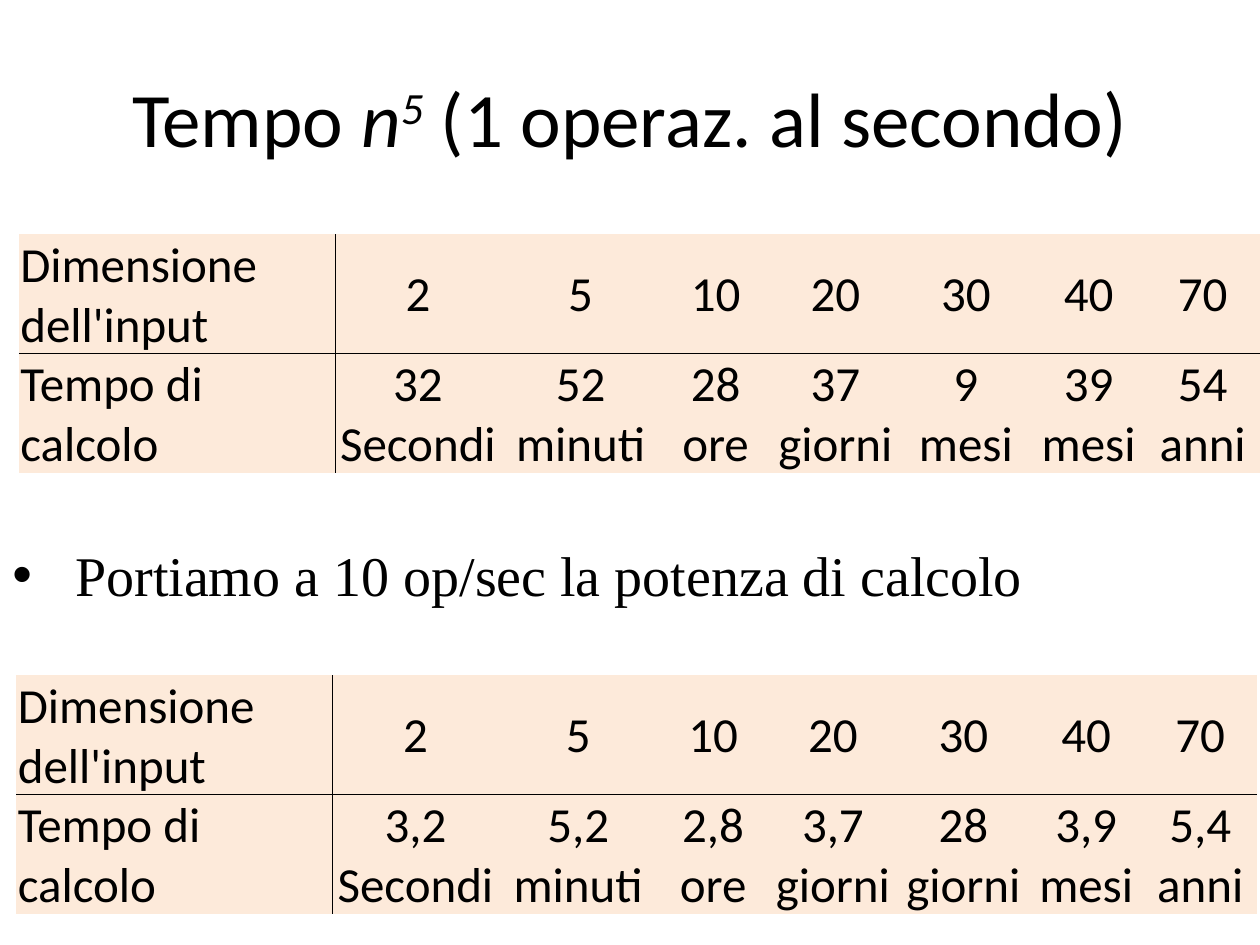
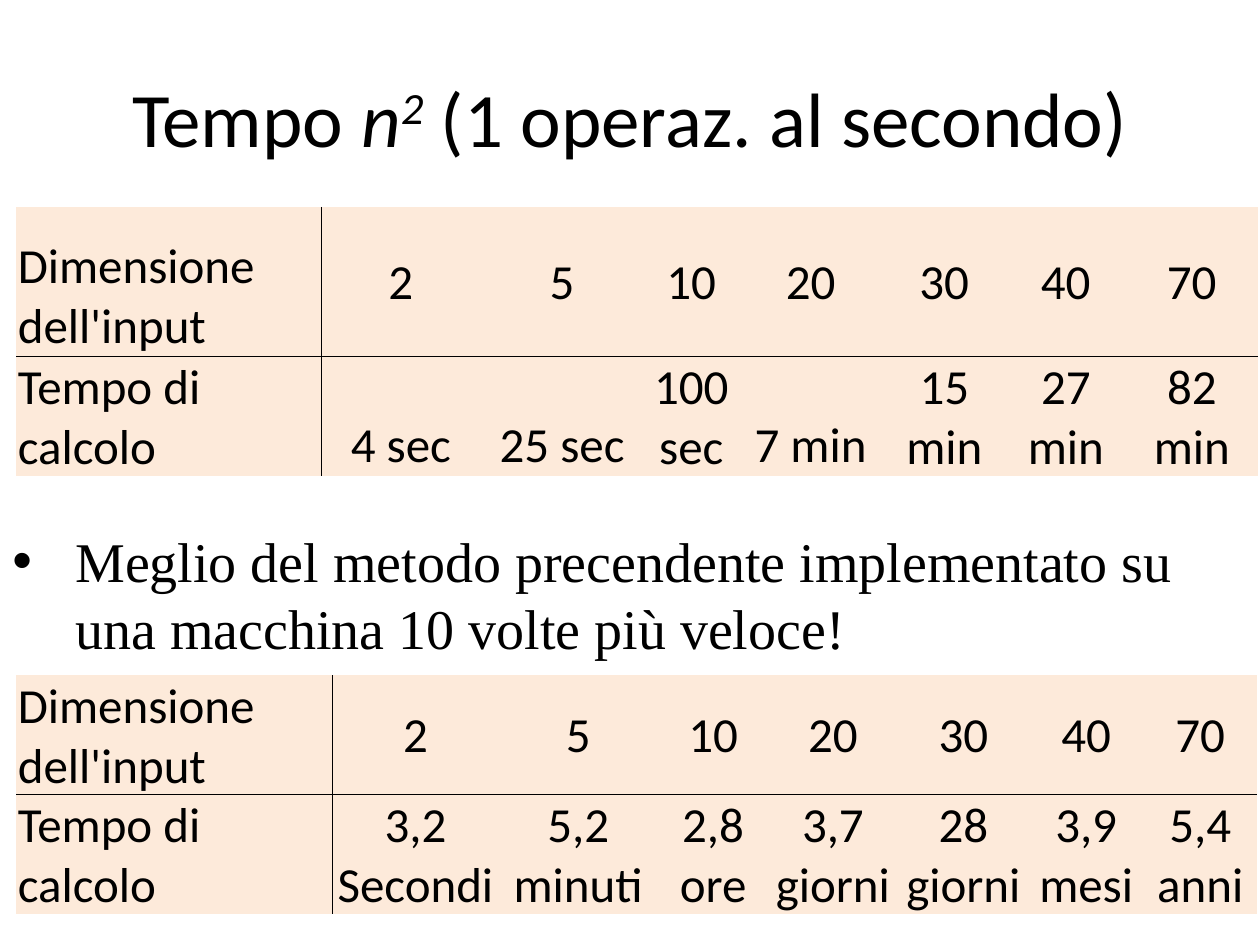
from dataclasses import dataclass
from lxml import etree
from pptx import Presentation
from pptx import util as u
from pptx.dml import color
from pptx.enum import text
from pptx.oxml import ns

HUES = {"ink": "000000", "cell": "FDEADA"}
NO_GRID = "{2D5ABB26-0587-4C30-8999-92F81FD0307C}"
SIZES = ("2", "5", "10", "20", "30", "40", "70")
WIDE = (6.38, 3.33, 3.23, 2.21, 2.62, 2.64, 2.31, 2.29)
EVEN = (6.15, 3.2, 3.3, 1.91, 2.9, 2.49, 2.41, 2.67)
LOOKS = {
    "title": {"name": "Calibri", "size": u.Pt(44)},
    "point": {"name": "Times New Roman", "size": u.Pt(32)},
    "cell": {"name": "Calibri", "size": u.Pt(28)},
}
INSETS = {"margin_left": u.Cm(0.03), "margin_right": u.Cm(0.03),
          "margin_top": u.Cm(0.03), "margin_bottom": u.Cm(0)}


@dataclass
class Grid:
    """A table of input sizes and running times, in centimetres."""
    left: float
    top: float
    height: float
    cols: tuple
    rows: tuple
    times: tuple


@dataclass
class Point:
    """A bulleted remark between the tables, in centimetres."""
    top: float
    height: float
    words: str


def rgb(key: str) -> color.RGBColor:
    """Return a named colour."""
    return color.RGBColor.from_string(HUES[key])


def apply(item, values: dict) -> None:
    """Set every attribute of a format on an item."""
    for name, value in values.items():
        setattr(item, name, value)


def write(par, words: str, look: str, **extra):
    """Add a styled run to a paragraph."""
    run = par.add_run()
    run.text = words
    apply(run.font, {**LOOKS[look], **extra})
    run.font.color.rgb = rgb("ink")
    return run


def box(slide, left: float, top: float, width: float, height: float):
    """Add a wrapping text box and return its frame."""
    frame = slide.shapes.add_textbox(
        u.Cm(left), u.Cm(top), u.Cm(width), u.Cm(height)).text_frame
    frame.word_wrap = True
    return frame


def title(slide, power: str) -> None:
    """Write the centred title with its exponent."""
    frame = box(slide, 1.27, 0.76, 22.86, 3.18)
    frame.vertical_anchor = text.MSO_ANCHOR.MIDDLE
    par = frame.paragraphs[0]
    par.alignment = text.PP_ALIGN.CENTER
    write(par, "Tempo ", "title")
    write(par, "n", "title", italic=True)
    run = write(par, power, "title", italic=True)
    run.font._element.set("baseline", "30000")
    write(par, " (1 operaz. al secondo)", "title")


def remark(slide, point: Point) -> None:
    """Write a bulleted remark with a hanging indent."""
    par = box(slide, 0, point.top, 25.4, point.height).paragraphs[0]
    props = par._p.get_or_add_pPr()
    props.set("marL", str(u.Cm(1.27)))
    props.set("indent", str(-u.Cm(1.27)))
    etree.SubElement(props, ns.qn("a:buFont")).set("typeface", "Arial")
    etree.SubElement(props, ns.qn("a:buChar")).set("char", "•")
    write(par, point.words, "point")


def edge(cell, sides: str) -> None:
    """Rule the given sides of a cell and clear the others."""
    props = cell._tc.get_or_add_tcPr()
    for side in "LRTB":
        line = etree.SubElement(props, ns.qn("a:ln" + side))
        line.set("w", str(u.Pt(0.5)))
        if side in sides:
            fill = etree.SubElement(line, ns.qn("a:solidFill"))
            etree.SubElement(fill, ns.qn("a:srgbClr")).set("val", HUES["ink"])
        else:
            etree.SubElement(line, ns.qn("a:noFill"))


def table(slide, grid: Grid) -> None:
    """Draw a table of input sizes over running times."""
    lines = (("Dimensione dell'input", *SIZES),
             ("Tempo di calcolo", *grid.times))
    frame = slide.shapes.add_table(
        len(lines), len(grid.cols), u.Cm(grid.left), u.Cm(grid.top),
        u.Cm(sum(grid.cols)), u.Cm(grid.height))
    tab = frame.table
    apply(tab, {"first_row": False, "horz_banding": False})
    tab._tbl.tblPr.find(ns.qn("a:tableStyleId")).text = NO_GRID
    for col, width in zip(tab.columns, grid.cols):
        col.width = u.Cm(width)
    for row, height in zip(tab.rows, grid.rows):
        row.height = u.Cm(height)
    frame.height = u.Cm(grid.height)
    for y, line in enumerate(lines):
        for x, words in enumerate(line):
            cell = tab.cell(y, x)
            apply(cell, INSETS)
            mid = y == 0 and x > 0
            cell.vertical_anchor = (text.MSO_ANCHOR.MIDDLE if mid
                                    else text.MSO_ANCHOR.BOTTOM)
            edge(cell, "BT"[y] + {0: "R", 1: "L"}.get(x, ""))
            cell.fill.solid()
            cell.fill.fore_color.rgb = rgb("cell")
            par = cell.text_frame.paragraphs[0]
            par.alignment = text.PP_ALIGN.CENTER if x else text.PP_ALIGN.LEFT
            write(par, words, "cell")


def main() -> None:
    """Build and save the two slides."""
    deck = Presentation()
    apply(deck, {"slide_width": u.Cm(25.4), "slide_height": u.Cm(19.05)})
    slow = Grid(0.38, 4.72, 4.78, WIDE, (1.63, 1.63),
                ("32 Secondi", "52 minuti", "28 ore", "37 giorni",
                 "9 mesi", "39 mesi", "54 anni"))
    fast = Grid(0.33, 13.61, 4.78, WIDE, (0.97, 1.83),
                ("3,2 Secondi", "5,2 minuti", "2,8 ore", "3,7 giorni",
                 "28 giorni", "3,9 mesi", "5,4 anni"))
    square = Grid(0.33, 4.17, 5.44, EVEN, (3.02, 2.13),
                  ("4 sec", "25 sec", "100 sec", "7 min",
                   "15 min", "27 min", "82 min"))
    boost = Point(10.77, 1.63, "Portiamo a 10 op/sec la potenza di calcolo")
    better = Point(10.49, 3, "Meglio del metodo precendente implementato su "
                             "una macchina 10 volte più veloce!")
    for power, top, point in (("5", slow, boost), ("2", square, better)):
        slide = deck.slides.add_slide(deck.slide_layouts[6])
        title(slide, power)
        table(slide, top)
        remark(slide, point)
        table(slide, fast)
    deck.save("out.pptx")


main()
